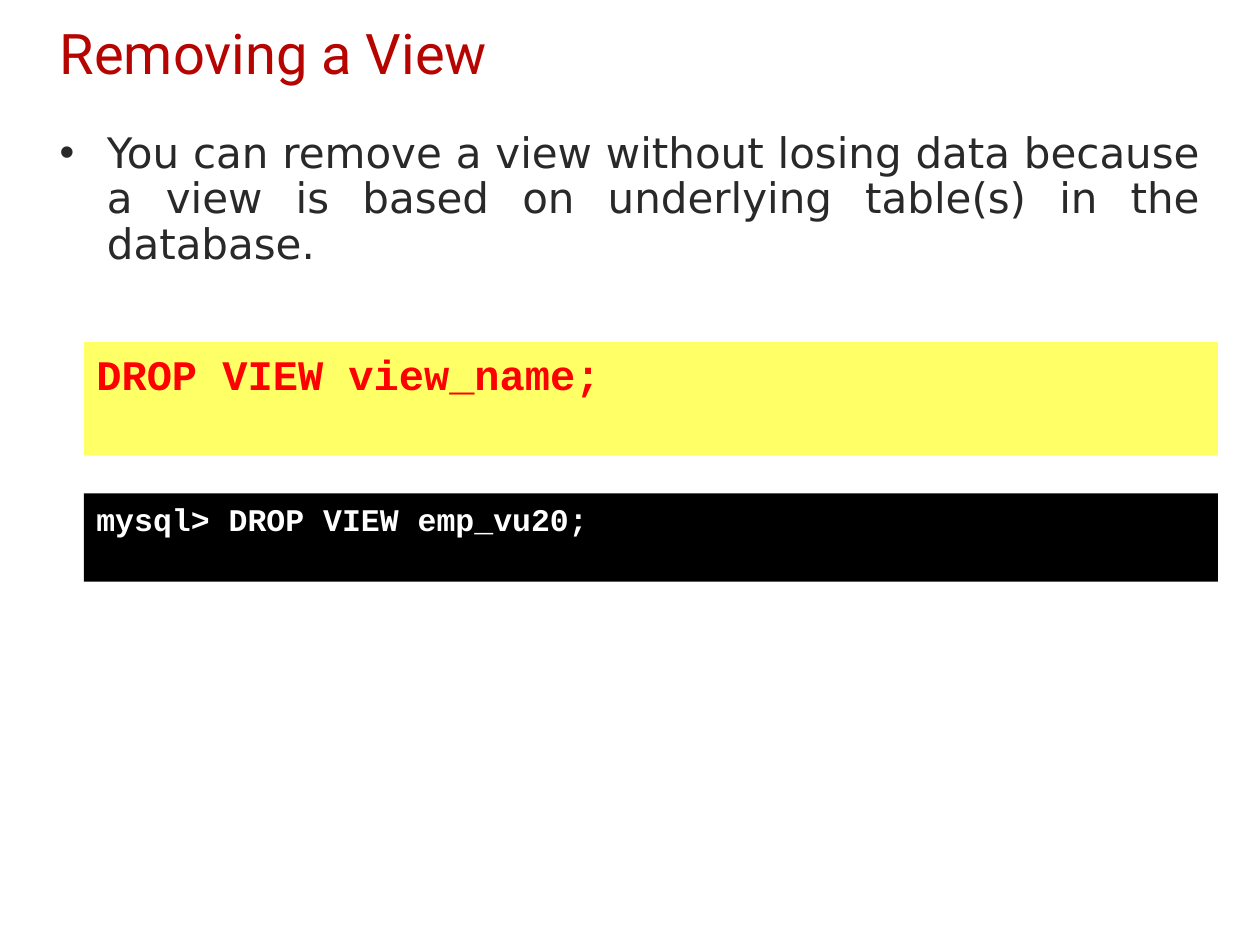
from lxml.etree import SubElement
from pptx import Presentation
from pptx.dml.color import RGBColor
from pptx.enum.shapes import MSO_SHAPE
from pptx.enum.text import MSO_ANCHOR, PP_ALIGN
from pptx.oxml.ns import qn
from pptx.util import Pt


def color(value):
    return RGBColor.from_string(value)


def write(shape, text, font_name, size, text_color, bold=False,
          anchor=MSO_ANCHOR.TOP, alignment=PP_ALIGN.LEFT):
    frame = shape.text_frame
    frame.word_wrap = True
    frame.vertical_anchor = anchor
    paragraph = frame.paragraphs[0]
    paragraph.text = text
    paragraph.alignment = alignment
    paragraph.font.name = font_name
    paragraph.font.size = Pt(size)
    paragraph.font.bold = bold
    paragraph.font.color.rgb = color(text_color)


def add_title(slide, box, text):
    shape = slide.shapes.add_textbox(*map(Pt, box))
    write(shape, text, "Roboto", 32, "B60400", anchor=MSO_ANCHOR.MIDDLE)


def add_bullet(slide, box, text):
    shape = slide.shapes.add_textbox(*map(Pt, box))
    paragraph = shape.text_frame.paragraphs[0]
    paragraph.line_spacing = 0.9
    properties = paragraph._p.get_or_add_pPr()
    properties.set("marL", str(Pt(27)))
    properties.set("indent", str(Pt(-27)))
    SubElement(properties, qn("a:buFont"), typeface="Arial")
    SubElement(properties, qn("a:buChar"), char="•")
    write(shape, text, "DejaVu Sans", 24, "292929", alignment=PP_ALIGN.JUSTIFY)


def add_code(slide, box, text, size, text_color, fill_color):
    shape = slide.shapes.add_shape(MSO_SHAPE.RECTANGLE, *map(Pt, box))
    shape.shadow.inherit = False
    shape.fill.solid()
    shape.fill.fore_color.rgb = color(fill_color)
    shape.line.fill.background()
    write(shape, text, "Courier New", size, text_color, bold=True)


def main():
    presentation = Presentation()
    presentation.slide_width = Pt(720)
    presentation.slide_height = Pt(540)
    slide = presentation.slides.add_slide(presentation.slide_layouts[6])
    add_title(slide, (27, 0, 666, 60), "Removing a View")
    add_bullet(slide, (27, 72, 666, 90),
               "You can remove a view without losing data because a view "
               "is based on underlying table(s) in the database.")
    add_code(slide, (48, 195.6, 648, 64.8), "DROP VIEW view_name;",
             24, "FF0000", "FFFF66")
    add_code(slide, (48, 282, 648, 50.4), "mysql> DROP VIEW emp_vu20;",
             18, "FFFFFF", "000000")
    presentation.save("out.pptx")


if __name__ == "__main__":
    main()
